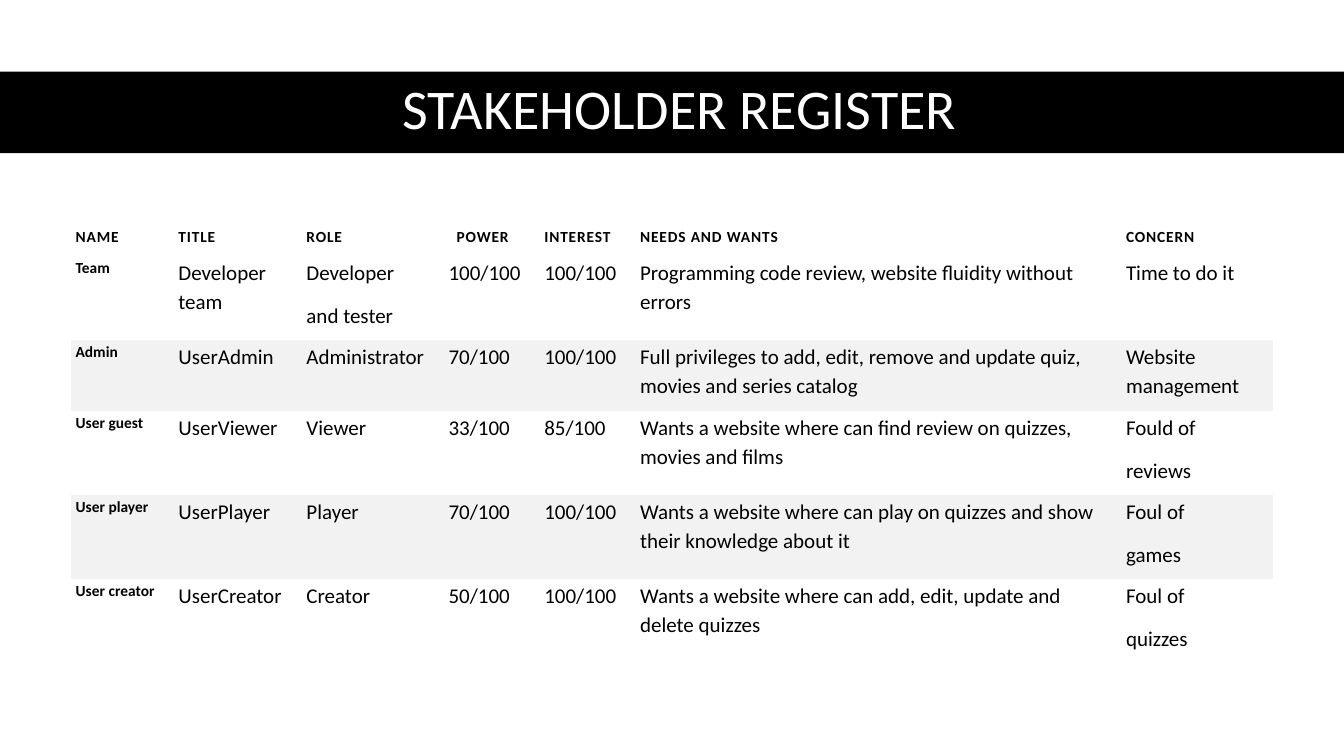
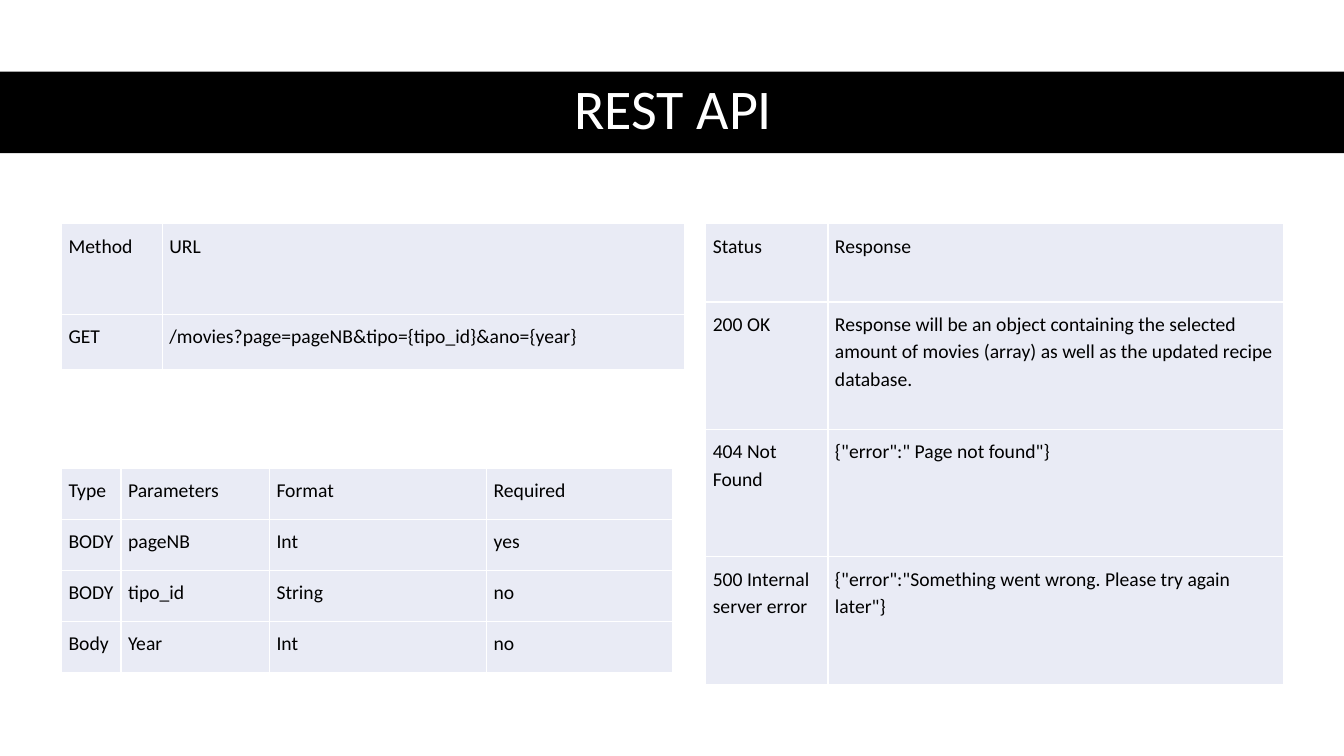
from lxml.etree import SubElement
from pptx import Presentation
from pptx.dml.color import RGBColor
from pptx.enum.shapes import MSO_SHAPE
from pptx.enum.text import MSO_ANCHOR, MSO_AUTO_SIZE, PP_ALIGN
from pptx.oxml.ns import qn
from pptx.util import Inches, Pt

SLIDE_WIDTH, SLIDE_HEIGHT = 13.33, 7.5
COLORS = {"black": "000000", "white": "FFFFFF", "stripe": "F2F2F2", "lavender": "E9EBF5"}
FONT = "Calibri"
PLAIN_TABLE_STYLE = "{2D5ABB26-0587-4C30-8999-92F81FD0307C}"
BAND_BOX = (0, 0.71, SLIDE_WIDTH, 0.81)
TITLE_BOX = (0.61, 0.7, 12.26, 0.81)

HEADER_TEXT = {"size": Pt(11), "bold": True}
BODY_TEXT = {"size": Pt(15), "bold": False}
API_TEXT = {"size": Pt(14), "bold": False}

REGISTER_COLUMNS = [1.02, 1.27, 1.41, 0.95, 0.95, 4.82, 1.51]
REGISTER_ROWS = [0.65, 0.83, 0.7, 0.83, 0.83, 0.83]
REGISTER = [
    ["NAME", "TITLE", "ROLE", "POWER", "INTEREST", "NEEDS AND WANTS", "CONCERN"],
    ["Team", "Developer team", "Developer\nand tester", "100/100", "100/100",
     "Programming code review, website fluidity without errors", "Time to do it"],
    ["Admin", "UserAdmin", "Administrator", "70/100", "100/100",
     "Full privileges to add, edit, remove and update quiz, movies and series catalog",
     "Website management"],
    ["User guest", "UserViewer", "Viewer", "33/100", "85/100",
     "Wants a website where can find review on quizzes, movies and films",
     "Fould of\nreviews"],
    ["User player", "UserPlayer", "Player", "70/100", "100/100",
     "Wants a website where can play on quizzes and show their knowledge about it",
     "Foul of\ngames"],
    ["User creator", "UserCreator", "Creator", "50/100", "100/100",
     "Wants a website where can add, edit, update and delete quizzes",
     "Foul of\nquizzes"],
]

ENDPOINT = [
    ["Method", "URL"],
    ["GET", "/movies?page=pageNB&tipo={tipo_id}&ano={year}"],
]
PARAMETERS = [
    ["Type", "Parameters", "Format", "Required"],
    ["BODY", "pageNB", "Int", "yes"],
    ["BODY", "tipo_id", "String", "no"],
    ["Body", "Year", "Int", "no"],
]
RESPONSES = [
    ["Status", "Response"],
    ["200 OK", "Response will be an object containing the selected amount of movies "
               "(array) as well as the updated recipe database."],
    ["404 Not Found", '{"error":" Page not found"}'],
    ["500 Internal server error",
     '{"error":"Something went wrong. Please try again later"}'],
]


def color(name):
    return RGBColor.from_string(COLORS[name])


def apply_format(target, values):
    for attribute, value in values.items():
        setattr(target, attribute, value)


def box_format(box):
    return dict(zip(("left", "top", "width", "height"), map(Inches, box)))


def style_font(font, values, color_name="black"):
    apply_format(font, {"name": FONT, **values})
    font.color.rgb = color(color_name)


def add_titled_slide(deck, heading):
    slide = deck.slides.add_slide(deck.slide_layouts[5])
    band = slide.shapes.add_shape(MSO_SHAPE.RECTANGLE, *map(Inches, BAND_BOX))
    band.shadow.inherit = False
    band.fill.solid()
    band.fill.fore_color.rgb = color("black")
    band.line.fill.background()

    title = slide.shapes.title
    title.element.addprevious(band.element)
    apply_format(title, box_format(TITLE_BOX))
    frame = title.text_frame
    frame.text = heading
    apply_format(frame, {"vertical_anchor": MSO_ANCHOR.MIDDLE, "word_wrap": True,
                         "auto_size": MSO_AUTO_SIZE.NONE})
    paragraph = frame.paragraphs[0]
    apply_format(paragraph, {"alignment": PP_ALIGN.CENTER, "line_spacing": 0.9})
    style_font(paragraph.runs[0].font, {"size": Pt(40), "bold": False}, "white")
    return slide


def add_grid(slide, box, columns, rows):
    grid = slide.shapes.add_table(len(rows), len(columns), *map(Inches, box)).table
    apply_format(grid, {"first_row": False, "horz_banding": False})
    grid._tbl.tblPr.find(qn("a:tableStyleId")).text = PLAIN_TABLE_STYLE
    for column, share in zip(grid.columns, columns):
        column.width = Inches(box[2] * share / sum(columns))
    for row, share in zip(grid.rows, rows):
        row.height = Inches(box[3] * share / sum(rows))
    return grid


def fill_cell(cell, text, font_values, margins, fill=None, space_after=0,
              anchor=MSO_ANCHOR.TOP):
    sides = ("margin_left", "margin_top", "margin_right", "margin_bottom")
    apply_format(cell, dict(zip(sides, map(Inches, margins))))
    cell.vertical_anchor = anchor
    cell.text = text
    for paragraph in cell.text_frame.paragraphs:
        apply_format(paragraph, {"line_spacing": 1.15, "space_after": Pt(space_after)})
        for run in paragraph.runs:
            style_font(run.font, font_values)
    if fill:
        cell.fill.solid()
        cell.fill.fore_color.rgb = color(fill)
    else:
        cell.fill.background()


def outline_cell(cell):
    properties = cell._tc.get_or_add_tcPr()
    for position, side in enumerate(("lnL", "lnR", "lnT", "lnB")):
        border = SubElement(properties, qn(f"a:{side}"), w=str(Pt(1)))
        stroke = SubElement(border, qn("a:solidFill"))
        SubElement(stroke, qn("a:srgbClr"), val=COLORS["white"])
        properties.insert(position, border)


def add_register(slide, box):
    grid = add_grid(slide, box, REGISTER_COLUMNS, REGISTER_ROWS)
    for r, entries in enumerate(REGISTER):
        for c, text in enumerate(entries):
            cell = grid.cell(r, c)
            is_header = r == 0
            indent = 0.08 if text == "POWER" else 0
            fill_cell(
                cell, text,
                HEADER_TEXT if is_header or c == 0 else BODY_TEXT,
                (0.05 + indent, 0.1 if is_header else 0, 0.05, 0.1),
                fill="stripe" if r and r % 2 == 0 else None,
                space_after=10,
                anchor=MSO_ANCHOR.BOTTOM if is_header else MSO_ANCHOR.TOP,
            )
            if is_header:
                for run in cell.text_frame.paragraphs[0].runs:
                    run.font._element.set("spc", "60")


def add_api_grid(slide, box, columns, rows, entries):
    grid = add_grid(slide, box, columns, rows)
    for r, texts in enumerate(entries):
        for c, text in enumerate(texts):
            cell = grid.cell(r, c)
            fill_cell(cell, text, API_TEXT, (0.07, 0.07, 0.05, 0.07), fill="lavender")
            outline_cell(cell)


def build_register_slide(deck):
    slide = add_titled_slide(deck, "STAKEHOLDER REGISTER")
    add_register(slide, (0.7, 1.89, 11.93, 4.69))


def build_api_slide(deck):
    slide = add_titled_slide(deck, "REST API ")
    left, top = 0.61, 2.22
    add_api_grid(slide, (left, top, 6.18, 1.45), [1, 5.18], [0.9, 0.55], ENDPOINT)
    add_api_grid(slide, (left, 4.65, 6.06, 2.02), [0.59, 1.47, 2.15, 1.84], [1] * 4,
                 PARAMETERS)
    add_api_grid(slide, (7, top, 5.73, 4.57), [1.21, 4.51], [0.78] + [1.27] * 3,
                 RESPONSES)


def main():
    deck = Presentation()
    apply_format(deck, {"slide_width": Inches(SLIDE_WIDTH),
                        "slide_height": Inches(SLIDE_HEIGHT)})
    build_register_slide(deck)
    build_api_slide(deck)
    deck.save("out.pptx")


if __name__ == "__main__":
    main()
